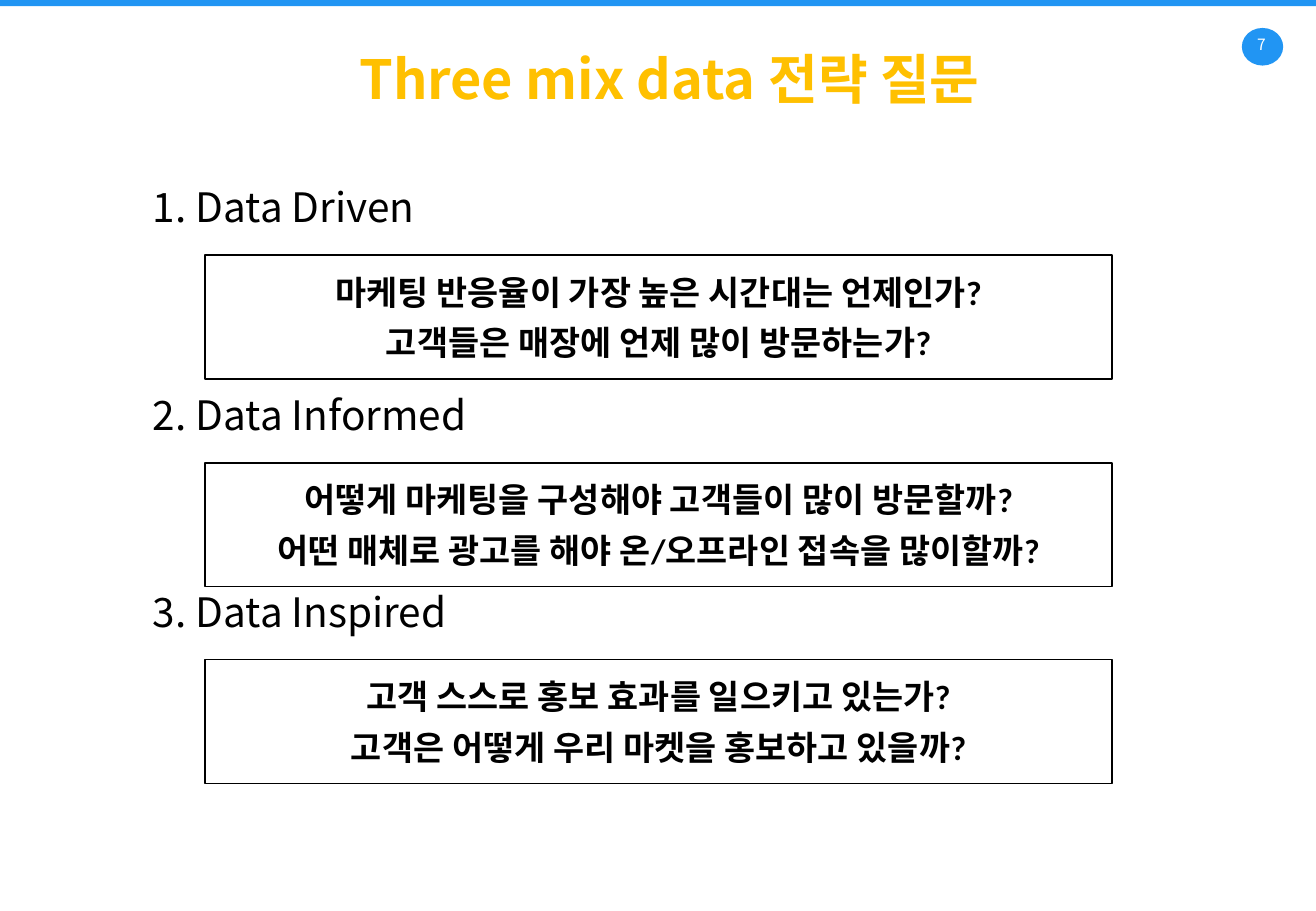
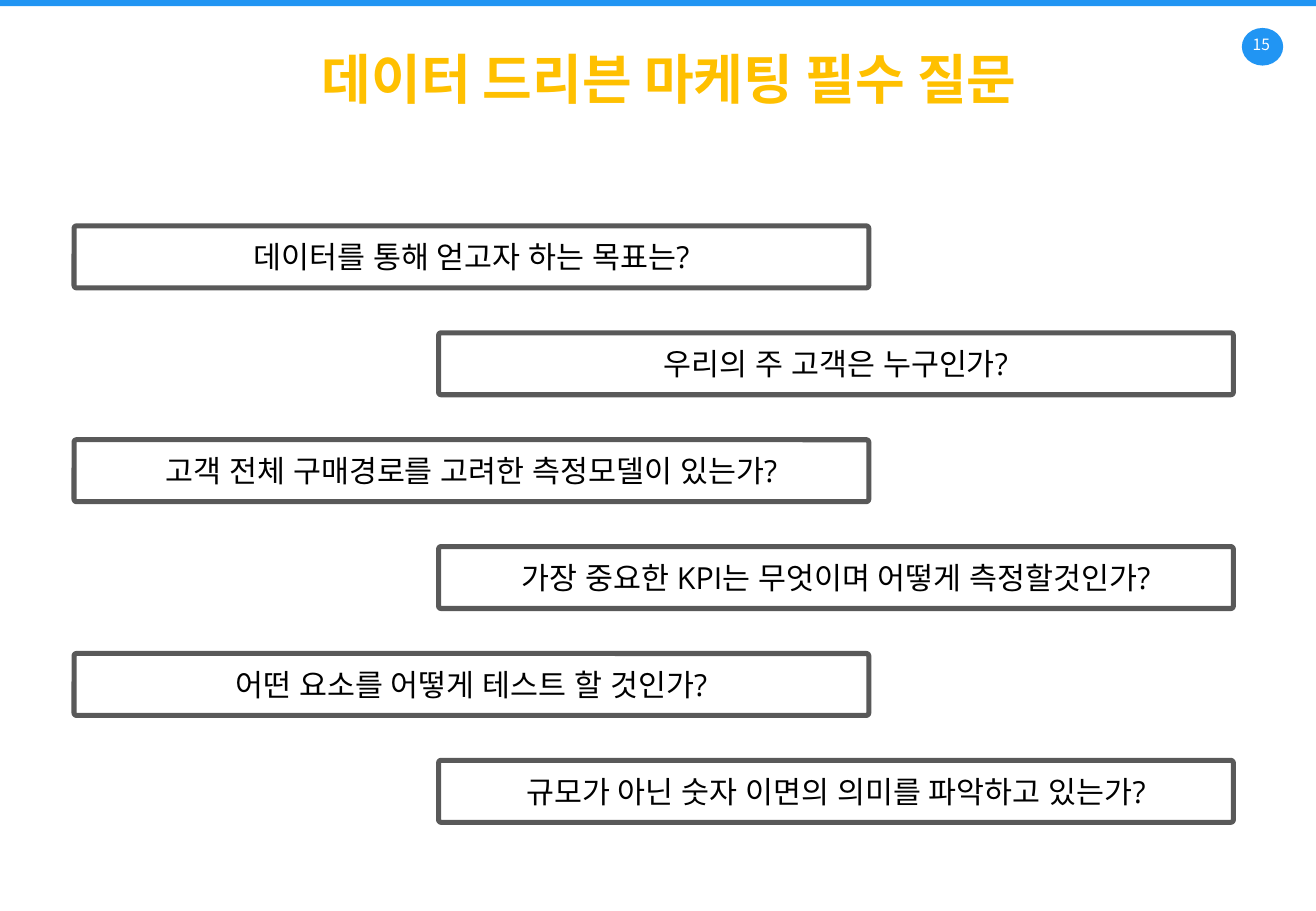
from lxml import etree
from pptx import Presentation
from pptx.dml.color import RGBColor
from pptx.enum.shapes import MSO_SHAPE
from pptx.enum.text import MSO_ANCHOR, PP_ALIGN
from pptx.oxml.ns import qn
from pptx.util import Inches, Pt

RECT, ROUND, OVAL = MSO_SHAPE.RECTANGLE, MSO_SHAPE.ROUNDED_RECTANGLE, MSO_SHAPE.OVAL
LEFT, CENTER = PP_ALIGN.LEFT, PP_ALIGN.CENTER
TOP, MIDDLE = MSO_ANCHOR.TOP, MSO_ANCHOR.MIDDLE


class Theme:
    blue = RGBColor(0x21, 0x95, 0xF3)
    gold = RGBColor(0xFF, 0xC0, 0x00)
    gray = RGBColor(0x59, 0x59, 0x59)
    black = RGBColor(0, 0, 0)
    white = RGBColor(0xFF, 0xFF, 0xFF)
    sans, bold, plain = "Noto Sans CJK KR", "Calibri", "Open Sans"
    title, head, answer, ask, number = Pt(32), Pt(24), Pt(20), Pt(18), Pt(9.2)
    tight = 0.89  # line spacing of the sans text
    gap = Pt(6)


def write(shape, lines, font, size, color, bold=False, align=CENTER,
          anchor=MIDDLE, inset=True):
    """Fill a shape with one paragraph per line, all in one style."""
    frame = shape.text_frame
    frame.word_wrap = True
    frame.vertical_anchor = anchor
    if not inset:
        frame.margin_left = frame.margin_right = 0
        frame.margin_top = frame.margin_bottom = 0
    frame.text = "\n".join(lines)
    for i, para in enumerate(frame.paragraphs):
        para.alignment = align
        if i:
            para.space_before = Theme.gap
        if font == Theme.sans:
            para.line_spacing = Theme.tight
        for run in para.runs:
            run.font.size, run.font.bold = size, bold
            run.font.color.rgb = color
            run.font.name = font
            etree.SubElement(run.font._element, qn("a:ea")).set("typeface", font)


def draw(slide, kind, box, fill=None, line=None, width=1):
    """Add a flat preset shape; box is left, top, width, height in inches."""
    shape = slide.shapes.add_shape(kind, *map(Inches, box))
    shape.shadow.inherit = False
    if fill is None:
        shape.fill.background()
    else:
        shape.fill.solid()
        shape.fill.fore_color.rgb = fill
    if line is None:
        shape.line.fill.background()
    else:
        shape.line.color.rgb = line
        shape.line.width = Pt(width)
    return shape


deck = Presentation()
deck.slide_width, deck.slide_height = Inches(10.83), Inches(7.5)
blank = deck.slide_layouts[6]

# Shared frame: number badge, top band, title
pages = []
for number, title in [("7", "Three mix data 전략 질문"),
                      ("15", "데이터 드리븐 마케팅 필수 질문")]:
    slide = deck.slides.add_slide(blank)
    pages.append(slide)
    draw(slide, OVAL, (10.22, 0.23, 0.34, 0.31), Theme.blue)
    label = slide.shapes.add_textbox(*map(Inches, (10.19, 0.31, 0.38, 0.15)))
    write(label, [number], Theme.sans, Theme.number, Theme.white,
          anchor=TOP, inset=False)
    draw(slide, RECT, (0, 0, 10.83, 0.05), Theme.blue)
    head = slide.shapes.add_textbox(*map(Inches, (0.71, 0.44, 9.41, 0.54)))
    write(head, [title], Theme.sans, Theme.title, Theme.gold, bold=True,
          anchor=TOP, inset=False)
    props = head.text_frame.paragraphs[0]._p.get_or_add_pPr()
    props.set("marL", str(Inches(0.1)))
    props.set("indent", str(Inches(0.09)))

mix, asks = pages

# Three kinds of data, each with a box of questions
groups = [
    (1.5, "1. Data Driven", ["마케팅 반응율이 가장 높은 시간대는 언제인가?",
                             "고객들은 매장에 언제 많이 방문하는가?"]),
    (3.21, "2. Data Informed", ["어떻게 마케팅을 구성해야 고객들이 많이 방문할까?",
                                "어떤 매체로 광고를 해야 온/오프라인 접속을 많이할까?"]),
    (4.83, "3. Data Inspired", ["고객 스스로 홍보 효과를 일으키고 있는가?",
                                "고객은 어떻게 우리 마켓을 홍보하고 있을까?"]),
]
for top, name, lines in groups:
    panel = draw(mix, RECT, (1.69, top + 0.6, 7.46, 1.02), Theme.white, Theme.black)
    write(panel, lines, Theme.bold, Theme.answer, Theme.black, bold=True)
    label = mix.shapes.add_textbox(*map(Inches, (1.16, top, 6.02, 0.5)))
    write(label, [name], Theme.sans, Theme.head, Theme.black, align=LEFT, anchor=TOP)

# Key questions, stepping left and right in turn
questions = [
    "데이터를 통해 얻고자 하는 목표는?",
    "우리의 주 고객은 누구인가?",
    "고객 전체 구매경로를 고려한 측정모델이 있는가?",
    "가장 중요한 KPI는 무엇이며 어떻게 측정할것인가?",
    "어떤 요소를 어떻게 테스트 할 것인가?",
    "규모가 아닌 숫자 이면의 의미를 파악하고 있는가?",
]
for i, text in enumerate(questions):
    box = (0.61 + 3 * (i % 2), 1.86 + 0.88 * i, 6.54, 0.51)
    panel = draw(asks, ROUND, box, line=Theme.gray, width=3)
    panel.adjustments[0] = 0.04
    write(panel, [text], Theme.plain, Theme.ask, Theme.black)

deck.save("out.pptx")
